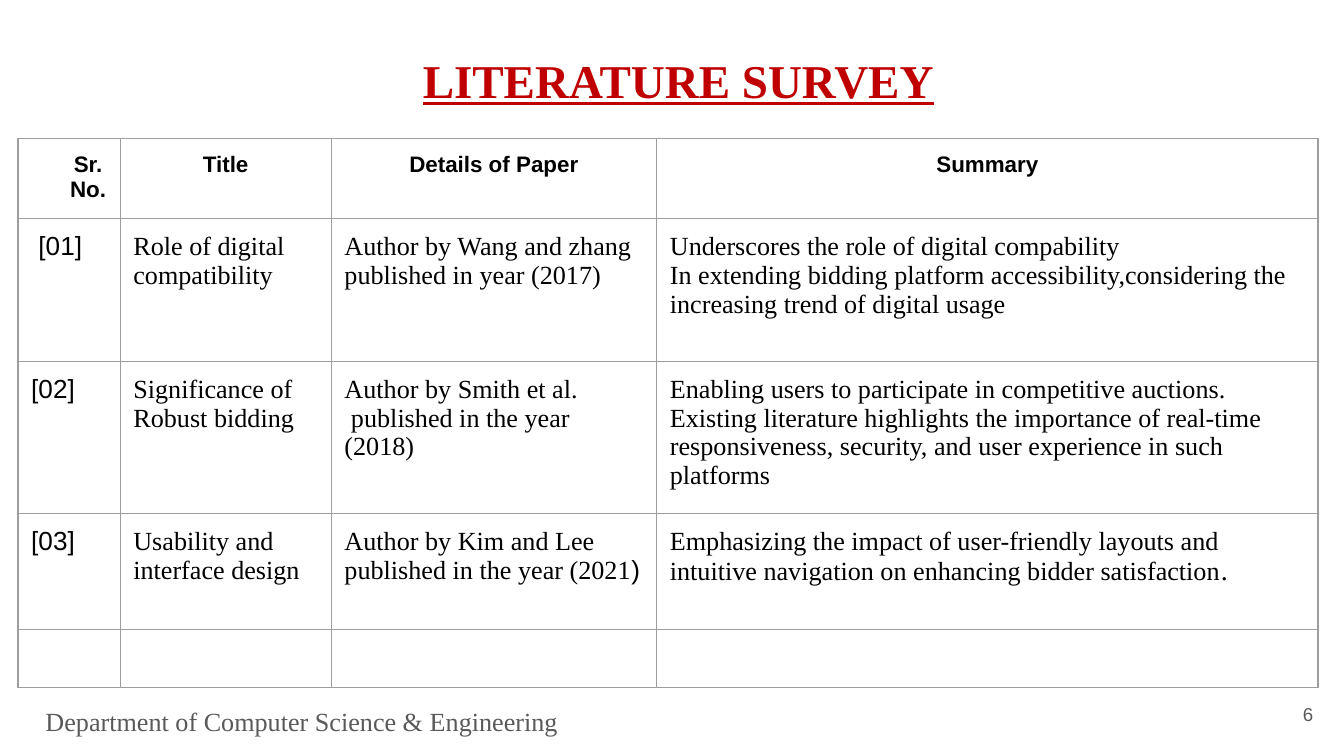
import dataclasses

import lxml.etree
import pptx
import pptx.dml.color
import pptx.enum.text
import pptx.oxml.ns
import pptx.util

Cm = pptx.util.Cm
Pt = pptx.util.Pt
RGBColor = pptx.dml.color.RGBColor
Align = pptx.enum.text.PP_ALIGN
Anchor = pptx.enum.text.MSO_ANCHOR
qn = pptx.oxml.ns.qn


@dataclasses.dataclass(frozen=True)
class Theme:
    serif: str = "Times New Roman"
    sans: str = "Arial"
    accent: str = "C00000"
    ink: str = "000000"
    muted: str = "595959"
    border: str = "9E9E9E"
    border_width: float = 0.75
    title_size: float = 25.2
    header_size: float = 12
    body_size: float = 14
    period_size: float = 15
    number_size: float = 10


THEME = Theme()
INSET = Cm(0.25)
COLUMN_WIDTHS = [1.93, 3.99, 6.15, 12.5]
ROW_HEIGHTS = [1.45, 2.7, 2.7, 2.19, 1.06]
HEADERS = [["Sr.", "No."], ["Title"], ["Details of Paper"], ["Summary"]]
PAPERS = [
    [
        [" [01]"],
        ["Role of digital compatibility"],
        ["Author by Wang and zhang published in year (2017)"],
        [
            "Underscores the role of digital compability",
            "In extending bidding platform accessibility,considering the "
            "increasing trend of digital usage",
        ],
    ],
    [
        ["[02]"],
        ["Significance of Robust bidding"],
        ["Author by Smith et al.", " published in the year", "(2018)"],
        [
            "Enabling users to participate in competitive auctions. Existing "
            "literature highlights the importance of real-time responsiveness, "
            "security, and user experience in such platforms"
        ],
    ],
    [
        ["[03]"],
        ["Usability and interface design"],
        ["Author by Kim and Lee published in the year (2021"],
        [
            "Emphasizing the impact of user-friendly layouts and intuitive "
            "navigation on enhancing bidder satisfaction"
        ],
    ],
]


def add_run(paragraph, text, size, font, color, bold=False, underline=False):
    run = paragraph.add_run()
    run.text = text
    run.font.size = Pt(size)
    run.font.name = font
    run.font.color.rgb = RGBColor.from_string(color)
    run.font.bold = bold
    run.font.underline = underline


def set_margins(holder, left=INSET):
    holder.margin_left = left
    holder.margin_right = holder.margin_top = holder.margin_bottom = INSET


def add_label(slide, box, text, size, font, color, alignment=Align.LEFT,
              anchor=Anchor.TOP, left_inset=INSET, **emphasis):
    shape = slide.shapes.add_textbox(*map(Cm, box))
    frame = shape.text_frame
    frame.word_wrap = True
    frame.vertical_anchor = anchor
    set_margins(frame, left_inset)
    paragraph = frame.paragraphs[0]
    paragraph.alignment = alignment
    add_run(paragraph, text, size, font, color, **emphasis)
    return paragraph


def set_borders(cell):
    properties = cell._tc.get_or_add_tcPr()
    for position, side in enumerate(("a:lnL", "a:lnR", "a:lnT", "a:lnB")):
        line = lxml.etree.Element(qn(side), w=str(Pt(THEME.border_width)))
        fill = lxml.etree.SubElement(line, qn("a:solidFill"))
        lxml.etree.SubElement(fill, qn("a:srgbClr"), val=THEME.border)
        properties.insert(position, line)


def style_cell(cell):
    cell.fill.background()
    set_margins(cell)
    set_borders(cell)
    paragraph = cell.text_frame.paragraphs[0]
    lxml.etree.SubElement(paragraph._p, qn("a:endParaRPr"),
                          sz=str(THEME.body_size * 100))


def fill_cell(cell, lines, size, font, alignment=Align.LEFT, bold=False):
    frame = cell.text_frame
    for index, line in enumerate(lines):
        paragraph = frame.add_paragraph() if index else frame.paragraphs[0]
        paragraph.alignment = alignment
        add_run(paragraph, line, size, font, THEME.ink, bold)


def add_survey_table(slide):
    frame = slide.shapes.add_table(
        len(ROW_HEIGHTS), len(COLUMN_WIDTHS), Cm(0.34), Cm(2.62),
        Cm(sum(COLUMN_WIDTHS)), Cm(sum(ROW_HEIGHTS)))
    table = frame.table
    table.first_row = table.horz_banding = False
    for column, width in zip(table.columns, COLUMN_WIDTHS):
        column.width = Cm(width)
    for row, height in zip(table.rows, ROW_HEIGHTS):
        row.height = Cm(height)
    for cell in table.iter_cells():
        style_cell(cell)

    for column, lines in enumerate(HEADERS):
        fill_cell(table.cell(0, column), lines, THEME.header_size, THEME.sans,
                  Align.CENTER, bold=True)
    table.cell(0, 0).margin_left = Cm(0.97)

    for row, paper in enumerate(PAPERS, start=1):
        for column, lines in enumerate(paper):
            font = THEME.serif if column else THEME.sans
            fill_cell(table.cell(row, column), lines, THEME.body_size, font)

    details, summary = (table.cell(len(PAPERS), column) for column in (2, 3))
    add_run(details.text_frame.paragraphs[0], ")", THEME.body_size,
            THEME.sans, THEME.ink)
    add_run(summary.text_frame.paragraphs[0], ".", THEME.period_size,
            THEME.serif, THEME.ink)


def main():
    presentation = pptx.Presentation()
    presentation.slide_width = Cm(25.4)
    presentation.slide_height = Cm(14.29)
    slide = presentation.slides.add_slide(presentation.slide_layouts[6])

    title = add_label(slide, (0.86, 0.84, 23.67, 1.27), "LITERATURE SURVEY",
                      THEME.title_size, THEME.serif, THEME.accent,
                      Align.CENTER, left_inset=2 * INSET,
                      bold=True, underline=True)
    title.line_spacing = 0.9
    add_label(slide, (23.55, 12.95, 1.52, 1.09), "6", THEME.number_size,
              THEME.sans, THEME.muted, Align.RIGHT, Anchor.MIDDLE)
    add_label(slide, (0.61, 13.08, 23.93, 0.61),
              "Department of Computer Science & Engineering",
              THEME.body_size, THEME.serif, THEME.muted)
    add_survey_table(slide)
    presentation.save("out.pptx")


if __name__ == "__main__":
    main()
